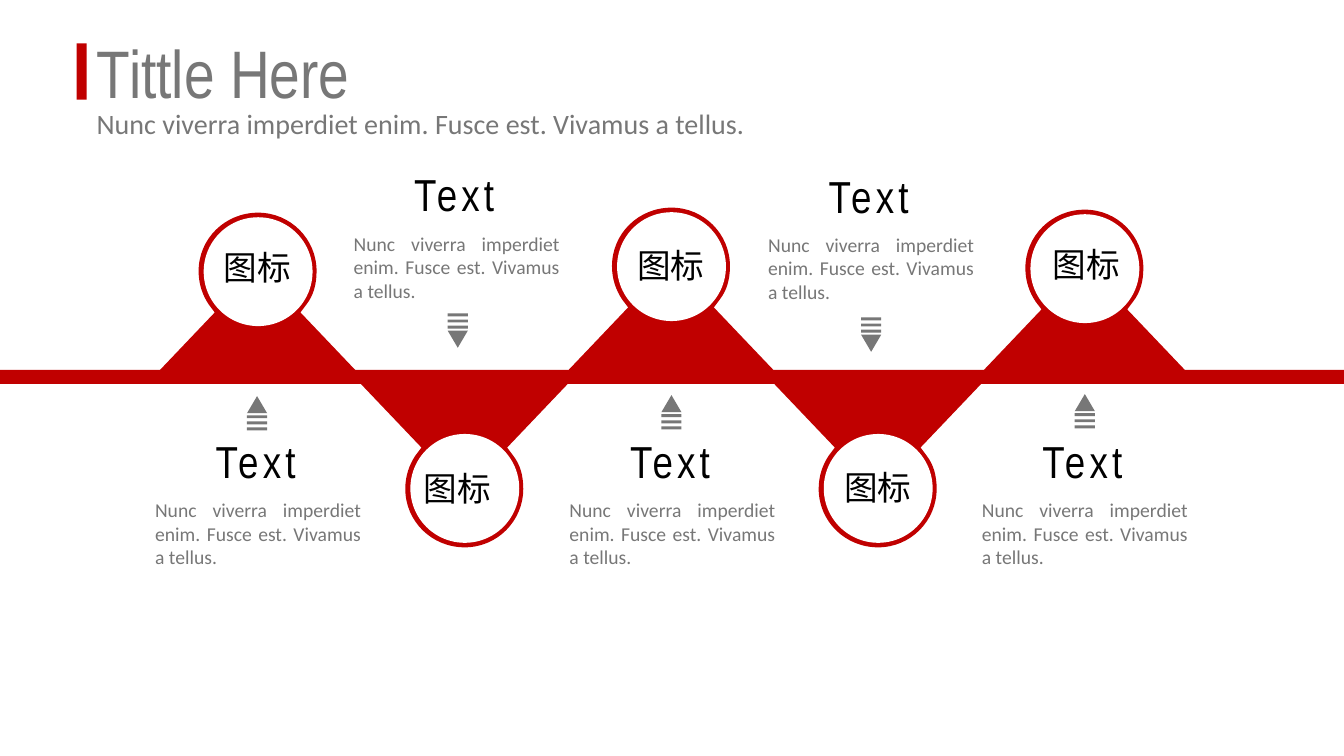
from dataclasses import dataclass

from lxml.etree import SubElement
from pptx import Presentation
from pptx.dml.color import RGBColor
from pptx.enum.shapes import MSO_SHAPE as Preset
from pptx.enum.text import MSO_AUTO_SIZE as AutoSize, PP_ALIGN as Align
from pptx.oxml.ns import qn
from pptx.shapes.base import BaseShape
from pptx.shapes.shapetree import GroupShapes, SlideShapes
from pptx.util import Inches, Pt

RED, GREY, BLACK, WHITE = "C00000", "777777", "000000", "FFFFFF"
SENTENCE = "Nunc viverra imperdiet enim. Fusce est. Vivamus a tellus."
PIN_LEFT, PIN_WIDTH, PIN_HEIGHT = 1.53, 2.05, 1.62
DISC_INSET_X, DISC_INSET_Y, DISC_SIZE = 0.49, 0.045, 1.08
ARROW_WIDTH, ARROW_HEAD, BAR_HEIGHT, BAR_PITCH = 0.2, 0.17, 0.03, 0.06

PIN_START = (1.03, 0)
PIN_SEGMENTS = [
    [(1.35, 0), (1.61, 0.26), (1.61, 0.58)],
    [(1.61, 0.71), (1.58, 0.82), (1.51, 0.91)],
    [(1.45, 0.99)],
    [(PIN_WIDTH, PIN_HEIGHT)],
    [(0, PIN_HEIGHT)],
    [(0.6, 0.99)],
    [(0.54, 0.91)],
    [(0.48, 0.82), (0.44, 0.71), (0.44, 0.58)],
    [(0.44, 0.26), (0.7, 0), PIN_START],
]

Tree = SlideShapes | GroupShapes


@dataclass(frozen=True)
class Style:
    font: str
    size: int
    color: str
    align: Align = Align.LEFT
    spacing: int = 0
    wrap: bool = True


TITLE = Style("Arial Narrow", 48, GREY)
SUBTITLE = Style("Calibri", 20, GREY, Align.JUSTIFY)
HEADING = Style("Arial Narrow", 32, BLACK, spacing=3, wrap=False)
BODY = Style("Calibri", 14, GREY, Align.JUSTIFY)
ICON = Style("Noto Sans CJK SC", 24, BLACK, Align.CENTER)


@dataclass(frozen=True)
class Stop:
    direction: int
    pin_tip: float
    icon_left: float
    icon_top: float
    text_left: float
    text_top: float
    arrow_left: float
    arrow_tip: float


STOPS = [
    Stop(1, 2.11, 1.78, 2.4, 2.04, 4.25, 2.45, 3.93),
    Stop(-1, 5.43, 3.76, 4.59, 4.01, 1.61, 4.44, 3.45),
    Stop(1, 2.06, 5.88, 2.38, 6.15, 4.25, 6.56, 3.92),
    Stop(-1, 5.43, 7.93, 4.58, 8.12, 1.62, 8.54, 3.49),
    Stop(1, 2.08, 10, 2.37, 10.24, 4.25, 10.66, 3.91),
]


def rgb(color: str) -> RGBColor:
    return RGBColor.from_string(color)


def paint(shape: BaseShape, color: str) -> None:
    shape.fill.solid()
    shape.fill.fore_color.rgb = rgb(color)
    shape.line.fill.background()
    shape.shadow.inherit = False


def add_preset(shapes: Tree, preset: Preset, left: float, top: float,
               width: float, height: float, color: str) -> BaseShape:
    shape = shapes.add_shape(preset, Inches(left), Inches(top),
                             Inches(width), Inches(height))
    paint(shape, color)
    return shape


def add_text(shapes: Tree, text: str, left: float, top: float,
             width: float, height: float, style: Style) -> None:
    box = shapes.add_textbox(Inches(left), Inches(top), Inches(width), Inches(height))
    frame = box.text_frame
    frame.word_wrap = style.wrap
    frame.auto_size = AutoSize.SHAPE_TO_FIT_TEXT
    paragraph = frame.paragraphs[0]
    paragraph.alignment = style.align
    run = paragraph.add_run()
    run.text = text
    run.font.size = Pt(style.size)
    run.font.name = style.font
    run.font.color.rgb = rgb(style.color)
    properties = run._r.get_or_add_rPr()
    SubElement(properties, qn("a:ea")).set("typeface", style.font)
    if style.spacing:
        properties.set("spc", str(style.spacing * 100))


def add_pin(slide_shapes: SlideShapes, left: float, tip: float, direction: int) -> None:
    shapes = slide_shapes.add_group_shape().shapes
    top = tip if direction > 0 else tip - PIN_HEIGHT

    def local(point: tuple[float, float]) -> tuple[Inches, Inches]:
        x, y = point
        return Inches(x), Inches(y if direction > 0 else PIN_HEIGHT - y)

    builder = shapes.build_freeform(*local(PIN_START))
    builder.add_line_segments([local(segment[-1]) for segment in PIN_SEGMENTS])
    pin = builder.convert_to_shape(Inches(left), Inches(top))
    lines = list(pin._element.iter(qn("a:lnTo")))
    for line, segment in zip(lines, PIN_SEGMENTS):
        if len(segment) == 3:
            line.tag = qn("a:cubicBezTo")
            for index, control in enumerate(segment[:2]):
                x, y = local(control)
                point = SubElement(line, qn("a:pt"), x=str(int(x)), y=str(int(y)))
                line.insert(index, point)
    paint(pin, RED)

    disc_top = tip + DISC_INSET_Y if direction > 0 else tip - DISC_INSET_Y - DISC_SIZE
    add_preset(shapes, Preset.OVAL, left + DISC_INSET_X, disc_top,
               DISC_SIZE, DISC_SIZE, WHITE)


def add_arrow(slide_shapes: SlideShapes, left: float, tip: float, direction: int) -> None:
    shapes = slide_shapes.add_group_shape().shapes

    def add_part(preset: Preset, offset: float, height: float) -> BaseShape:
        top = tip + offset if direction > 0 else tip - offset - height
        return add_preset(shapes, preset, left, top, ARROW_WIDTH, height, GREY)

    head = add_part(Preset.ISOSCELES_TRIANGLE, 0, ARROW_HEAD)
    head.rotation = 0 if direction > 0 else 180
    for index in range(3):
        add_part(Preset.RECTANGLE, 0.19 + index * BAR_PITCH, BAR_HEIGHT)


def add_header(slide_shapes: SlideShapes) -> None:
    shapes = slide_shapes.add_group_shape().shapes
    add_text(shapes, "Tittle Here", 0.86, 0.26, 4.19, 0.91, TITLE)
    add_preset(shapes, Preset.RECTANGLE, 0.76, 0.43, 0.1, 0.56, RED)
    add_text(shapes, SENTENCE, 0.86, 1.01, 7.38, 0.44, SUBTITLE)


def main() -> None:
    presentation = Presentation()
    presentation.slide_width = Inches(13.33)
    presentation.slide_height = Inches(7.5)
    slide = presentation.slides.add_slide(presentation.slide_layouts[6])
    shapes = slide.shapes

    add_header(shapes)
    add_preset(shapes, Preset.RECTANGLE, 0, 3.67, 13.33, 0.14, RED)
    for index, stop in enumerate(STOPS):
        add_pin(shapes, PIN_LEFT + index * PIN_WIDTH, stop.pin_tip, stop.direction)
    for stop in STOPS:
        add_text(shapes, "Text", stop.text_left, stop.text_top, 1.05, 0.64, HEADING)
        add_text(shapes, SENTENCE, stop.text_left - 0.6, stop.text_top + 0.64,
                 2.24, 0.81, BODY)
    for stop in STOPS:
        add_arrow(shapes, stop.arrow_left, stop.arrow_tip, stop.direction)
    for stop in STOPS:
        add_text(shapes, "图标", stop.icon_left, stop.icon_top, 1.55, 0.5, ICON)

    presentation.save("out.pptx")


if __name__ == "__main__":
    main()
